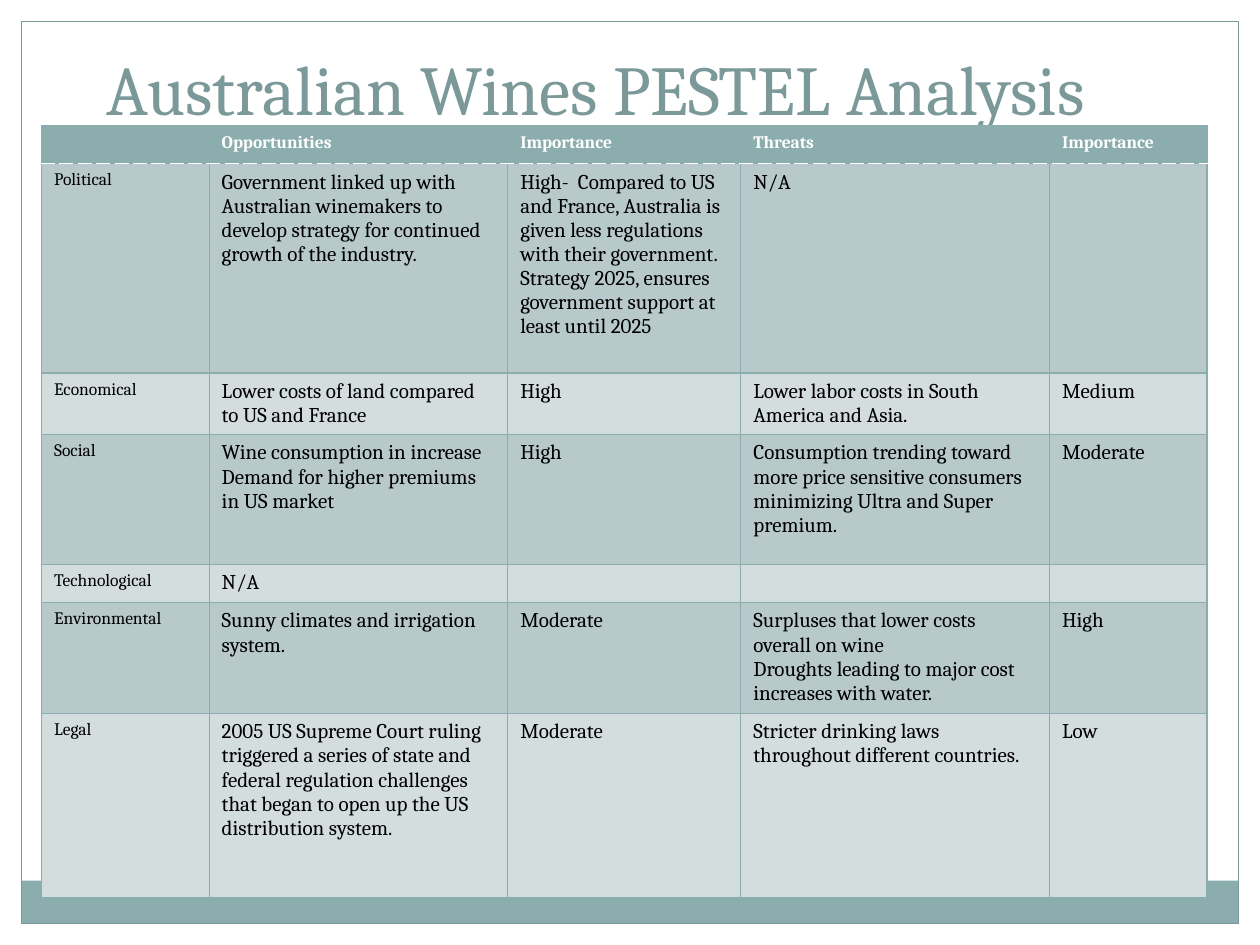
from lxml import etree
from pptx import Presentation
from pptx.dml.color import RGBColor
from pptx.enum.shapes import MSO_SHAPE
from pptx.enum.text import MSO_ANCHOR, MSO_AUTO_SIZE, PP_ALIGN
from pptx.oxml.ns import qn
from pptx.util import Inches, Pt

RECTANGLE = MSO_SHAPE.RECTANGLE
BOTTOM = MSO_ANCHOR.BOTTOM
NO_FIT = MSO_AUTO_SIZE.NONE
CENTER = PP_ALIGN.CENTER
WIDTH, HEIGHT = 10, 7.5
MARGIN = 0.17
FONT = "Cambria"
TEAL, DARK_TEAL, WHITE, BLACK = "8CADAE", "7C999A", "FFFFFF", "000000"
BAND_FILLS = ("B8C9CB", "D4DDDD")
COLUMN_WIDTHS = (1.33, 2.37, 1.85, 2.45, 1.25)
ROW_HEIGHTS = (0.3, 1.66, 0.49, 1.03, 0.3, 0.88, 1.46)
PESTEL = (
    ("", "Opportunities", "Importance", "Threats", "Importance"),
    ("Political",
     "Government linked up with Australian winemakers to develop strategy "
     "for continued growth of the industry.",
     "High-  Compared to US and France, Australia is given less regulations "
     "with their government.  Strategy 2025, ensures government support at "
     "least until 2025",
     "N/A", ""),
    ("Economical", "Lower costs of land compared to US and France", "High",
     "Lower labor costs in South America and Asia.", "Medium"),
    ("Social",
     "Wine consumption in increase\nDemand for higher premiums in US market",
     "High",
     "Consumption trending toward more price sensitive consumers minimizing "
     "Ultra and Super premium.",
     "Moderate"),
    ("Technological", "N/A", "", "", ""),
    ("Environmental", "Sunny climates and irrigation system.", "Moderate",
     "Surpluses that lower costs overall on wine\n"
     "Droughts leading to major cost increases with water.",
     "High"),
    ("Legal",
     "2005 US Supreme Court ruling triggered a series of state and federal "
     "regulation challenges that began to open up the US distribution system.",
     "Moderate", "Stricter drinking laws throughout different countries.",
     "Low"),
)


def color(value):
    """Return the colour for a hex string."""
    return RGBColor.from_string(value)


def write_text(frame, text, size, ink, bold=False, align=None):
    """Write one paragraph per line of text in the given format."""
    for index, line in enumerate(text.split("\n")):
        para = frame.add_paragraph() if index else frame.paragraphs[0]
        para.alignment = align
        if not line:
            ending = etree.SubElement(para._p, qn("a:endParaRPr"))
            ending.set("sz", str(size * 100))
            continue
        span = para.add_run()
        span.text = line
        span.font.name = FONT
        span.font.size = Pt(size)
        span.font.bold = bold
        span.font.color.rgb = color(ink)


def add_box(page, left, top, width, height, fill=None, line=None):
    """Add a plain rectangle with an optional fill and outline."""
    box = page.shapes.add_shape(RECTANGLE, Inches(left), Inches(top),
                                Inches(width), Inches(height))
    box.shadow.inherit = False
    if fill:
        box.fill.solid()
        box.fill.fore_color.rgb = color(fill)
    else:
        box.fill.background()
    if line:
        box.line.color.rgb = color(line)
        box.line.width = Pt(0.75)
    else:
        box.line.fill.background()


def add_frame(page):
    """Add the white margins, the bottom band and the outline."""
    inner_width, inner_height = WIDTH - 2 * MARGIN, HEIGHT - 2 * MARGIN
    add_box(page, 0, 0, WIDTH, MARGIN, fill=WHITE)
    for left in (0, WIDTH - MARGIN):
        add_box(page, left, 0, MARGIN, HEIGHT, fill=WHITE)
    add_box(page, MARGIN, 6.99, inner_width, 2 * MARGIN, fill=TEAL)
    add_box(page, MARGIN, MARGIN, inner_width, inner_height, line=DARK_TEAL)


def add_title(page, text):
    """Place and format the title placeholder."""
    title = page.shapes.title
    title.left, title.top = Inches(0), Inches(0.25)
    title.width, title.height = Inches(9.33), Inches(0.83)
    frame = title.text_frame
    frame.auto_size = NO_FIT
    frame.word_wrap = True
    frame.vertical_anchor = BOTTOM
    write_text(frame, text, 40, DARK_TEAL, align=CENTER)


def set_border(cell, side, ink, points, dash="solid"):
    """Draw one border of a table cell."""
    line = etree.SubElement(cell._tc.get_or_add_tcPr(), qn("a:ln" + side),
                            w=str(Pt(points)))
    fill = etree.SubElement(line, qn("a:solidFill"))
    etree.SubElement(fill, qn("a:srgbClr"), val=ink)
    etree.SubElement(line, qn("a:prstDash"), val=dash)


def format_cell(cell, text, row, column):
    """Set the borders, fill and text of a cell by its place."""
    header = row == 0
    white_dash = (WHITE, 0.9, "sysDash")
    teal_line = (TEAL, 0.75)
    for side in "LRTB":
        dashed = (side == "B" and header) or (side == "T" and row == 1)
        set_border(cell, side, *(white_dash if dashed else teal_line))
    cell.fill.solid()
    cell.fill.fore_color.rgb = color(TEAL if header else BAND_FILLS[(row - 1) % 2])
    write_text(cell.text_frame, text, 10 if header or column == 0 else 12,
               WHITE if header else BLACK, bold=header)


def add_analysis_table(page):
    """Add the PESTEL table."""
    table = page.shapes.add_table(
        len(ROW_HEIGHTS), len(COLUMN_WIDTHS), Inches(0.33), Inches(1),
        Inches(sum(COLUMN_WIDTHS)), Inches(sum(ROW_HEIGHTS))).table
    for column, width in zip(table.columns, COLUMN_WIDTHS):
        column.width = Inches(width)
    for row, height in zip(table.rows, ROW_HEIGHTS):
        row.height = Inches(height)
    for row, texts in enumerate(PESTEL):
        for column, text in enumerate(texts):
            format_cell(table.cell(row, column), text, row, column)


def main():
    """Build the slide and save the deck."""
    deck = Presentation()
    deck.slide_width, deck.slide_height = Inches(WIDTH), Inches(HEIGHT)
    page = deck.slides.add_slide(deck.slide_layouts[5])
    add_frame(page)
    add_title(page, " Australian Wines PESTEL Analysis")
    add_analysis_table(page)
    deck.save("out.pptx")


if __name__ == "__main__":
    main()
